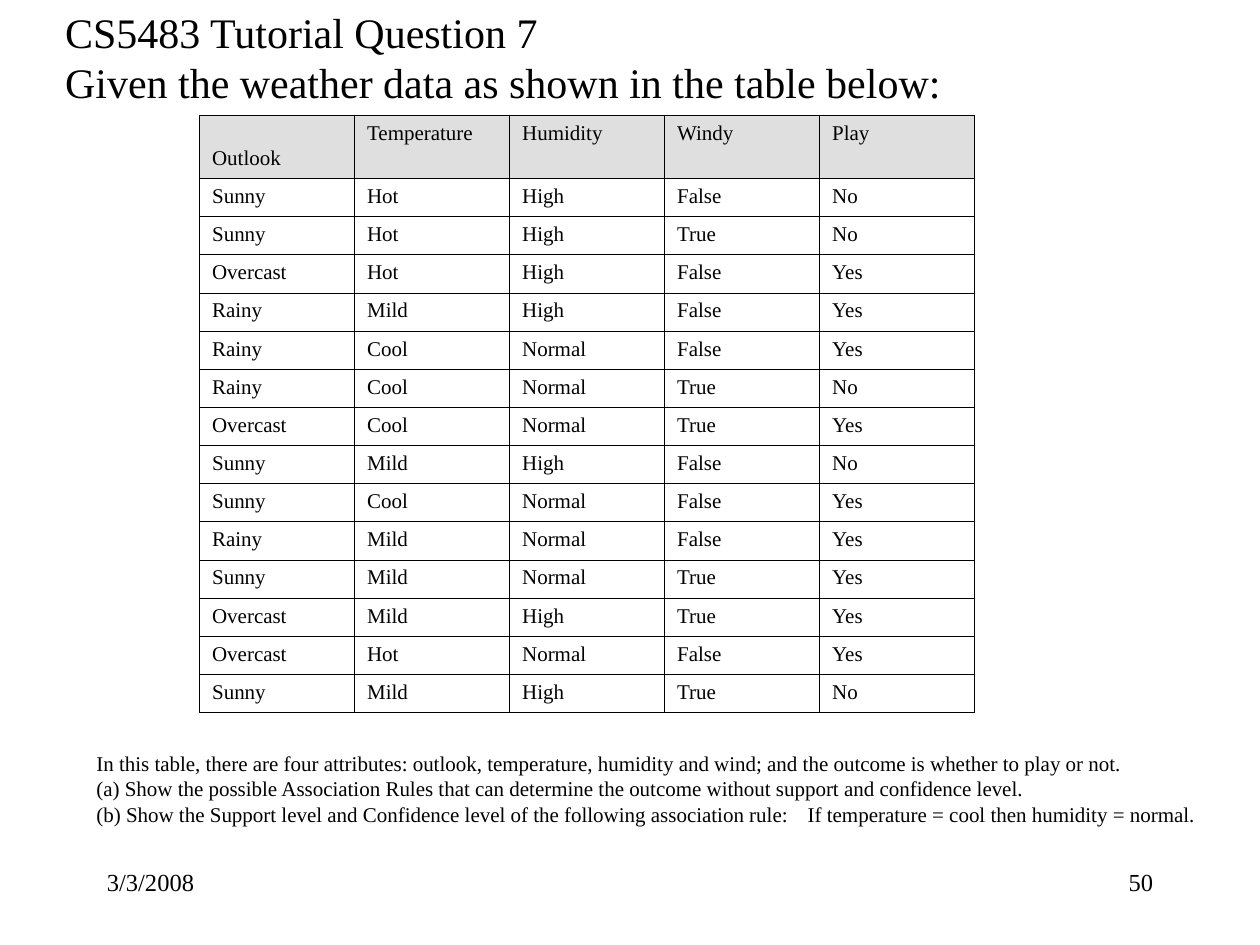
from lxml import etree
from pptx import Presentation
from pptx.dml.color import RGBColor
from pptx.enum import text as t
from pptx.oxml import ns
from pptx.util import Pt

BLACK = RGBColor(0x00, 0x00, 0x00)
HEADER_GREY = RGBColor(0xDF, 0xDF, 0xDF)
FONT = "Times New Roman"

TITLE = ["CS5483 Tutorial Question 7", "Given the weather data as shown in the table below:"]
HEADERS = ["Outlook", "Temperature", "Humidity", "Windy", "Play"]
WEATHER = [
    ["Sunny", "Hot", "High", "False", "No"],
    ["Sunny", "Hot", "High", "True", "No"],
    ["Overcast", "Hot", "High", "False", "Yes"],
    ["Rainy", "Mild", "High", "False", "Yes"],
    ["Rainy", "Cool", "Normal", "False", "Yes"],
    ["Rainy", "Cool", "Normal", "True", "No"],
    ["Overcast", "Cool", "Normal", "True", "Yes"],
    ["Sunny", "Mild", "High", "False", "No"],
    ["Sunny", "Cool", "Normal", "False", "Yes"],
    ["Rainy", "Mild", "Normal", "False", "Yes"],
    ["Sunny", "Mild", "Normal", "True", "Yes"],
    ["Overcast", "Mild", "High", "True", "Yes"],
    ["Overcast", "Hot", "Normal", "False", "Yes"],
    ["Sunny", "Mild", "High", "True", "No"],
]
QUESTIONS = [
    "In this table, there are four attributes: outlook, temperature, humidity and wind; "
    "and the outcome is whether to play or not.",
    "(a) Show the possible Association Rules that can determine the outcome "
    "without support and confidence level.",
    "(b) Show the Support level and Confidence level of the following association rule:"
    "\tIf temperature = cool then humidity = normal.",
]


def write_text(frame, lines, size, align=t.PP_ALIGN.LEFT, spacing=None, tab=None):
    """Fill a text frame with one formatted paragraph for each line."""
    frame.word_wrap = True
    for index, line in enumerate(lines):
        paragraph = frame.add_paragraph() if index else frame.paragraphs[0]
        paragraph.alignment = align
        if spacing:
            paragraph.line_spacing = Pt(spacing)
        if tab and "\t" in line:
            tabs = etree.SubElement(paragraph._p.get_or_add_pPr(), ns.qn("a:tabLst"))
            etree.SubElement(tabs, ns.qn("a:tab"), pos=str(Pt(tab)), algn="l")
        run = paragraph.add_run()
        run.text = line
        run.font.name = FONT
        run.font.size = Pt(size)
        run.font.color.rgb = BLACK


def add_title(slide, left, top, width, height):
    """Move the title placeholder to its box and write the heading."""
    title = slide.shapes.title
    title.left, title.top, title.width, title.height = map(Pt, (left, top, width, height))
    frame = title.text_frame
    frame.auto_size = t.MSO_AUTO_SIZE.NONE
    frame.vertical_anchor = t.MSO_ANCHOR.TOP
    write_text(frame, TITLE, size=24, spacing=28.8)


def add_text(slide, left, top, width, height, lines, size, **formatting):
    """Add a text box holding the given lines."""
    box = slide.shapes.add_textbox(Pt(left), Pt(top), Pt(width), Pt(height))
    write_text(box.text_frame, lines, size, **formatting)


def add_borders(cell):
    """Draw a thin black line on each side of a cell."""
    properties = cell._tc.get_or_add_tcPr()
    for side in ("lnL", "lnR", "lnT", "lnB"):
        line = etree.SubElement(properties, ns.qn(f"a:{side}"), w=str(Pt(0.45)))
        fill = etree.SubElement(line, ns.qn("a:solidFill"))
        etree.SubElement(fill, ns.qn("a:srgbClr"), val=str(BLACK))


def add_weather_table(slide, left, top, width, header_height, row_height):
    """Add the weather table with a grey header row."""
    records = [HEADERS] + WEATHER
    height = header_height + row_height * len(WEATHER)
    table = slide.shapes.add_table(
        len(records), len(HEADERS), Pt(left), Pt(top), Pt(width), Pt(height)
    ).table
    table.first_row = table.horz_banding = False
    for column in table.columns:
        column.width = Pt(width / len(HEADERS))
    for row_index, record in enumerate(records):
        table.rows[row_index].height = Pt(row_height if row_index else header_height)
        for column_index, value in enumerate(record):
            cell = table.cell(row_index, column_index)
            write_text(cell.text_frame, [value], size=12)
            add_borders(cell)
            if row_index:
                cell.fill.background()
            else:
                cell.fill.solid()
                cell.fill.fore_color.rgb = HEADER_GREY
    outlook = table.cell(0, 0)
    outlook.vertical_anchor = t.MSO_ANCHOR.BOTTOM
    outlook.margin_bottom = Pt(4.8)


def main():
    """Build and save the slide."""
    presentation = Presentation()
    presentation.slide_width, presentation.slide_height = Pt(720), Pt(540)
    slide = presentation.slides.add_slide(presentation.slide_layouts[5])
    add_weather_table(slide, 114, 66, 443, header_height=36, row_height=21.8)
    add_text(slide, 48, 425.5, 662, 50.4, QUESTIONS, 12, spacing=14.4, tab=406.5)
    add_title(slide, 30, 0, 624, 64.8)
    add_text(slide, 516, 492, 150, 36, ["50"], 14, align=t.PP_ALIGN.RIGHT)
    add_text(slide, 54, 492, 150, 36, ["3/3/2008"], 14)
    presentation.save("out.pptx")


if __name__ == "__main__":
    main()
